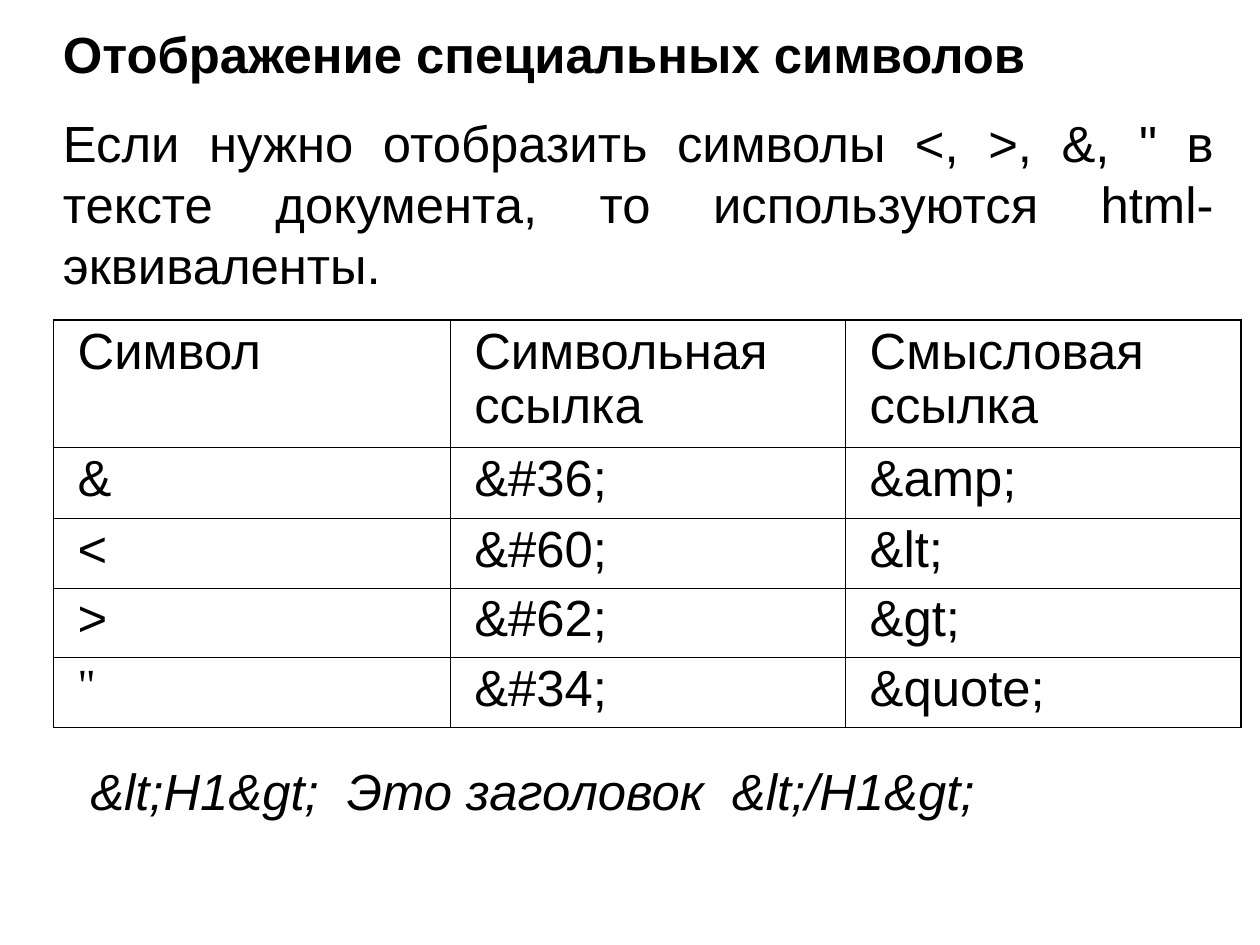
from lxml import etree
from pptx import Presentation
from pptx.dml.color import RGBColor
from pptx.enum.text import MSO_AUTO_SIZE, PP_ALIGN
from pptx.oxml.ns import qn
from pptx.util import Emu, Inches, Pt

BLACK = RGBColor(0, 0, 0)
JUSTIFY = PP_ALIGN.JUSTIFY
GROW = MSO_AUTO_SIZE.SHAPE_TO_FIT_TEXT
OUTER, INNER = Pt(1.08), Pt(0.45)

BASE_FONT = {"name": "Arial", "size": Pt(32), "bold": False, "italic": False}
QUOTE_FONT = {"name": "Times New Roman", "size": Pt(28)}


def write(para, text, changes):
    span = para.add_run()
    span.text = text
    for key, value in (BASE_FONT | changes).items():
        setattr(span.font, key, value)
    span.font.color.rgb = BLACK


def draw_border(cell, side, width):
    line = etree.SubElement(cell._tc.get_or_add_tcPr(), qn(f"a:ln{side}"), w=str(width))
    fill = etree.SubElement(line, qn("a:solidFill"))
    etree.SubElement(fill, qn("a:srgbClr"), val=str(BLACK))


deck = Presentation()
deck.slide_width, deck.slide_height = Emu(10080625), Emu(7559675)
page = deck.slides.add_slide(deck.slide_layouts[6])

texts = [
    (0.55, 0.2, 0.53, "Отображение специальных символов", {"bold": True}),
    (0.55, 0.98, 1.6,
     "Если нужно отобразить символы <, >, &, \" в тексте документа, "
     "то используются html-эквиваленты.", {}),
    (0.79, 6.65, 0.53, "&lt;H1&gt;  Это заголовок  &lt;/H1&gt;", {"italic": True}),
]
for left, top, height, text, changes in texts:
    box = page.shapes.add_textbox(Inches(left), Inches(top), Inches(10.08), Inches(height))
    frame = box.text_frame
    frame.word_wrap = True
    frame.auto_size = GROW
    for side in ("left", "top", "right", "bottom"):
        setattr(frame, f"margin_{side}", 0)
    para = frame.paragraphs[0]
    para.alignment = JUSTIFY
    write(para, text, changes)

rows = [
    ("Символ", "Символьная ссылка", "Смысловая ссылка"),
    ("&", "&#36;", "&amp;"),
    ("<", "&#60;", "&lt;"),
    (">", "&#62;", "&gt;"),
    ("\"", "&#34;", "&quote;"),
]
row_heights = [1.11, 0.62, 0.61, 0.61, 0.61]
column_widths = [3.47, 3.46, 3.46]
last_row, last_col = len(rows) - 1, len(column_widths) - 1

symbols = page.shapes.add_table(
    len(rows), len(column_widths),
    Inches(0.47), Inches(2.8), Inches(10.39), Inches(3.56)).table
symbols.first_row = False
symbols.horz_banding = False
for column, width in zip(symbols.columns, column_widths):
    column.width = Inches(width)

for r, (row, height) in enumerate(zip(rows, row_heights)):
    symbols.rows[r].height = Inches(height)
    for c, text in enumerate(row):
        cell = symbols.cell(r, c)
        edges = {"L": c == 0, "R": c == last_col, "T": r == 0, "B": r == last_row}
        for side, is_outer in edges.items():
            draw_border(cell, side, OUTER if is_outer else INNER)
        cell.fill.background()
        para = cell.text_frame.paragraphs[0]
        para.line_spacing = 0.95
        para.space_after = Pt(14.3)
        para._p.get_or_add_pPr().set("marL", str(Inches(0.11)))
        write(para, text, QUOTE_FONT if text == "\"" else {})

deck.save("out.pptx")
